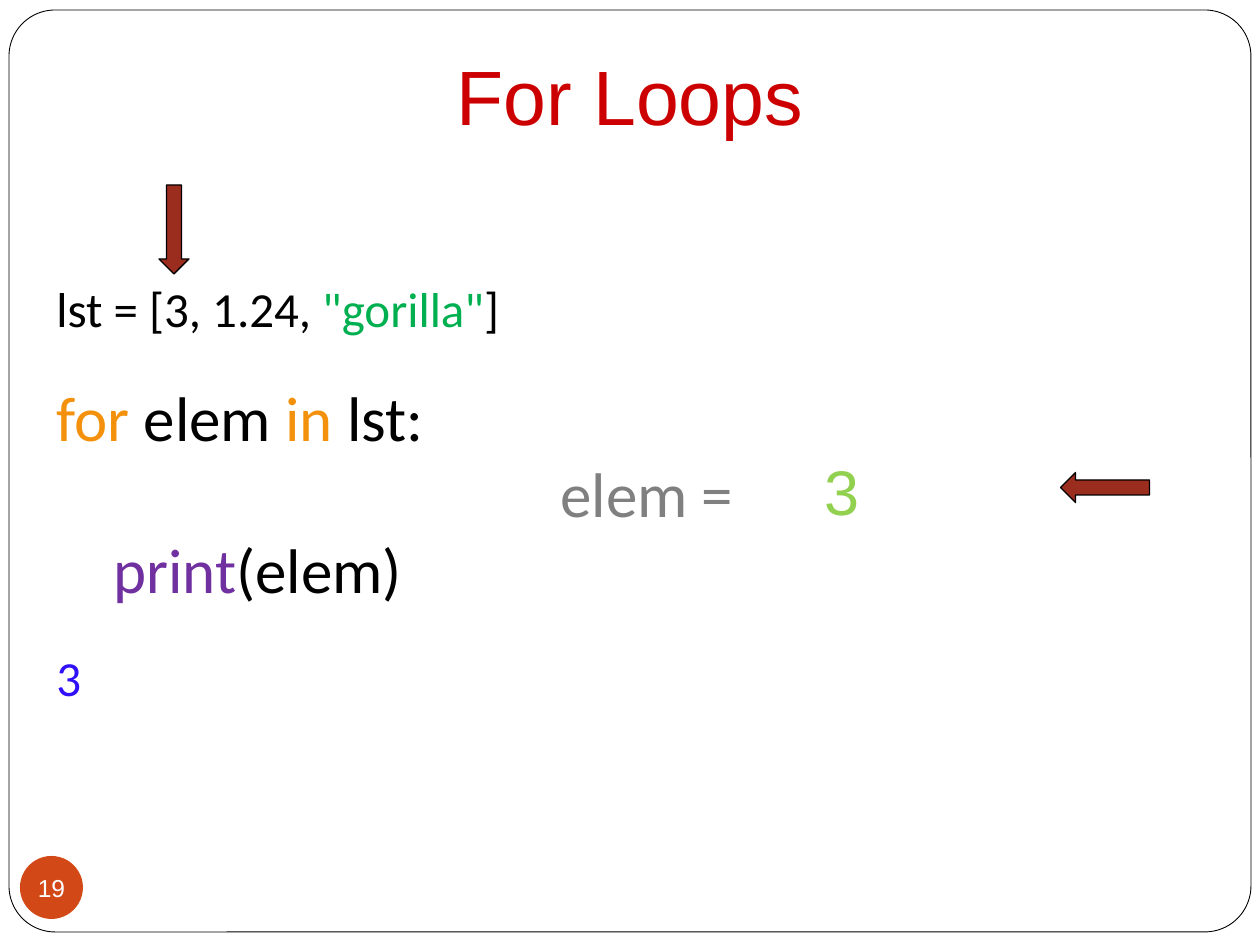
import pptx
import pptx.dml.color
import pptx.enum.shapes
import pptx.enum.text
import pptx.oxml.ns
import pptx.util
from lxml import etree

RGB = pptx.dml.color.RGBColor
SHAPE = pptx.enum.shapes.MSO_SHAPE
ALIGN = pptx.enum.text.PP_ALIGN
ANCHOR = pptx.enum.text.MSO_ANCHOR
Pt = pptx.util.Pt

WHITE, BLACK = RGB(255, 255, 255), RGB(0, 0, 0)
RED, RUST, BRICK = RGB(0xCC, 0, 0), RGB(0xD3, 0x48, 0x17), RGB(0x9B, 0x2D, 0x1F)
GREEN, LIME = RGB(0, 0xB0, 0x50), RGB(0x92, 0xD0, 0x50)
ORANGE, GRAY = RGB(0xF4, 0x91, 0x0C), RGB(0x80, 0x80, 0x80)
PURPLE, BLUE = RGB(0x70, 0x30, 0xA0), RGB(0x30, 0x0F, 0xF9)


def px(n):
    return pptx.util.Emu(round(n * 914400 / 126))


class Deck:
    code_font = "Calibri"
    title_font = "Arial"
    number_font = "Noto Sans"

    def __init__(self, width, height):
        self.prs = pptx.Presentation()
        self.prs.slide_width, self.prs.slide_height = px(width), px(height)
        self.slide = self.prs.slides.add_slide(self.prs.slide_layouts[5])

    def font(self, p, name, size, color):
        p.font.name, p.font.size, p.font.color.rgb = name, Pt(size), color

    def title(self, box, text):
        sp = self.slide.shapes.title
        sp.left, sp.top, sp.width, sp.height = map(px, box)
        tf = sp.text_frame
        tf.text, tf.vertical_anchor = text, ANCHOR.MIDDLE
        p = tf.paragraphs[0]
        p.alignment = ALIGN.CENTER
        self.font(p, self.title_font, 44, RED)

    def shape(self, kind, box, fill, line=None, rotation=0):
        sp = self.slide.shapes.add_shape(kind, *map(px, box))
        sp.shadow.inherit = False
        sp.rotation = rotation
        sp.fill.solid()
        sp.fill.fore_color.rgb = fill
        if line:
            sp.line.color.rgb, sp.line.width = BLACK, Pt(line)
        else:
            sp.line.fill.background()
        return sp

    def send_to_back(self, sp):
        self.slide.shapes.element.insert(2, sp.element)

    def number(self, sp, text, name, size, color, align):
        """One right-to-left number, whose script font is set as well."""
        tf = sp.text_frame
        tf.word_wrap = False
        p = tf.paragraphs[0]
        r = p.add_run()
        r.text = text
        p.alignment = align
        self.font(r, name, size, color)
        p._p.get_or_add_pPr().set("rtl", "1")
        cs = etree.SubElement(r._r.get_or_add_rPr(), pptx.oxml.ns.qn("a:cs"))
        cs.set("typeface", self.title_font)
        return tf

    def textbox(self, box):
        return self.slide.shapes.add_textbox(*map(px, box))

    def code(self, box, top_inset, lines):
        tf = self.textbox(box).text_frame
        tf.word_wrap, tf.margin_top = True, px(top_inset)
        for i, (size, before, indent, runs) in enumerate(lines):
            p = tf.add_paragraph() if i else tf.paragraphs[0]
            p.space_before = Pt(before)
            p.font.name, p.font.size = self.code_font, Pt(size)
            pPr = p._p.get_or_add_pPr()
            pPr.set("marL", str(px(indent)))
            pPr.set("indent", "0")
            for text, color in runs:
                r = p.add_run()
                r.text, r.font.color.rgb = text, color


deck = Deck(1260, 945)

# Frame behind everything, page number and title
frame = deck.shape(SHAPE.ROUNDED_RECTANGLE, (9, 10, 1242, 922), WHITE, 0.5)
frame.adjustments[0] = 0.05
deck.send_to_back(frame)
badge = deck.shape(SHAPE.OVAL, (20, 856, 63, 63), RUST)
tf = deck.number(badge, "19", deck.number_font, 14, WHITE, ALIGN.CENTER)
tf.margin_left = tf.margin_top = tf.margin_right = tf.margin_bottom = 0
tf.vertical_anchor = ANCHOR.MIDDLE
deck.title((63, 37, 1134, 116), "For Loops")

# Code: size, space before, indent, coloured runs
GAP = 24
deck.code((44, 155, 1191, 572), 123, [
    (28, 0, 0, [("lst = [3, 1.24, ", BLACK), ('"gorilla"', GREEN), ("]", BLACK)]),
    (36, GAP, 0, [("for ", ORANGE), ("elem ", BLACK), ("in ", ORANGE), ("lst:", BLACK)]),
    (36, 0, 504, [("elem = ", GRAY)]),
    (36, 0, 57, [("print", PURPLE), ("(elem)", BLACK)]),
    (28, GAP, 0, [("3", BLUE)]),
])

# Current value of elem
value = deck.textbox((814, 446, 58, 89))
deck.number(value, "3", deck.code_font, 36, LIME, ALIGN.RIGHT)

# Arrows to the current item and the current line
for left, top, rotation in ((159, 185, 0), (1090, 443, 90)):
    deck.shape(SHAPE.DOWN_ARROW, (left, top, 30, 89), BRICK, 0.75, rotation)

deck.prs.save("out.pptx")
